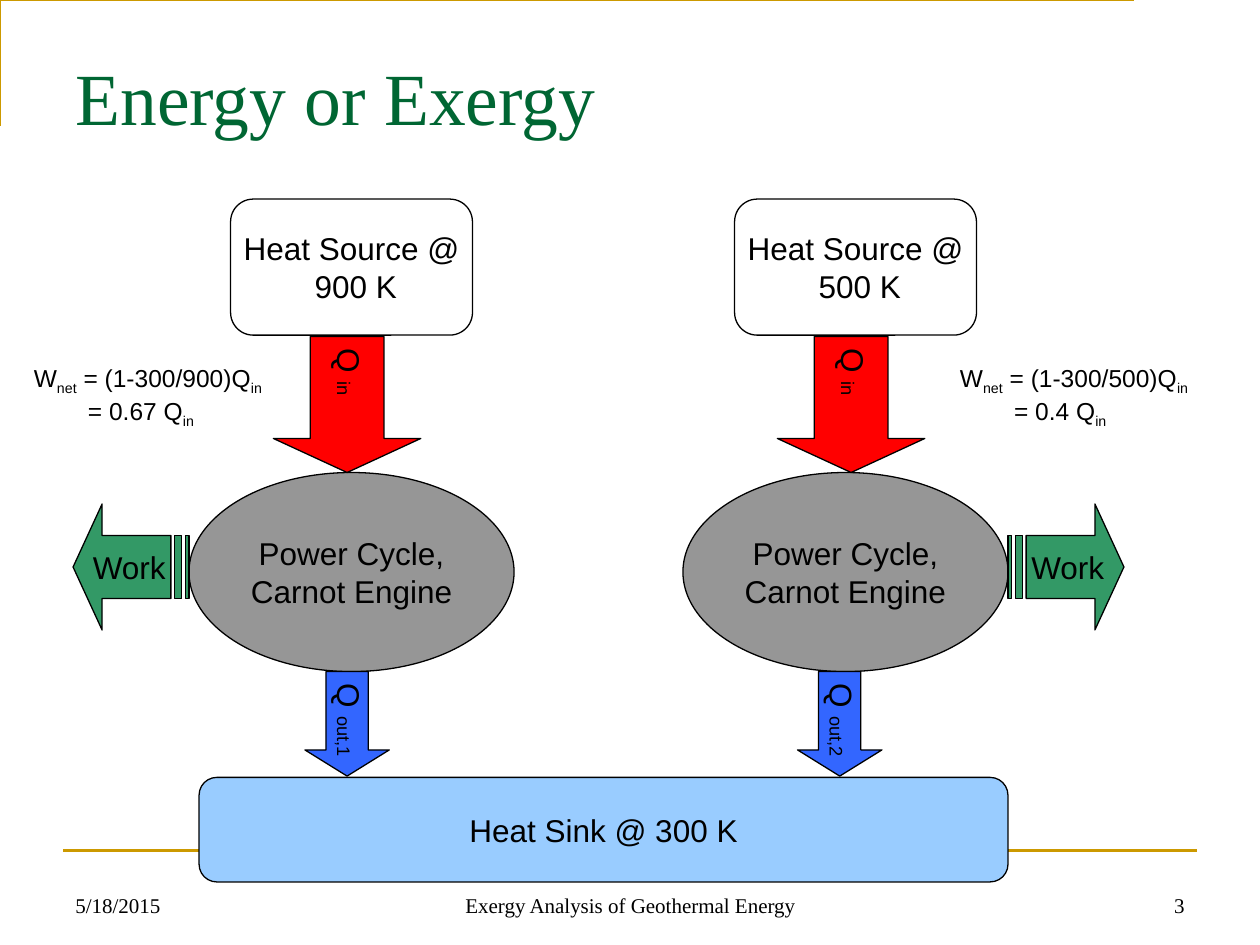
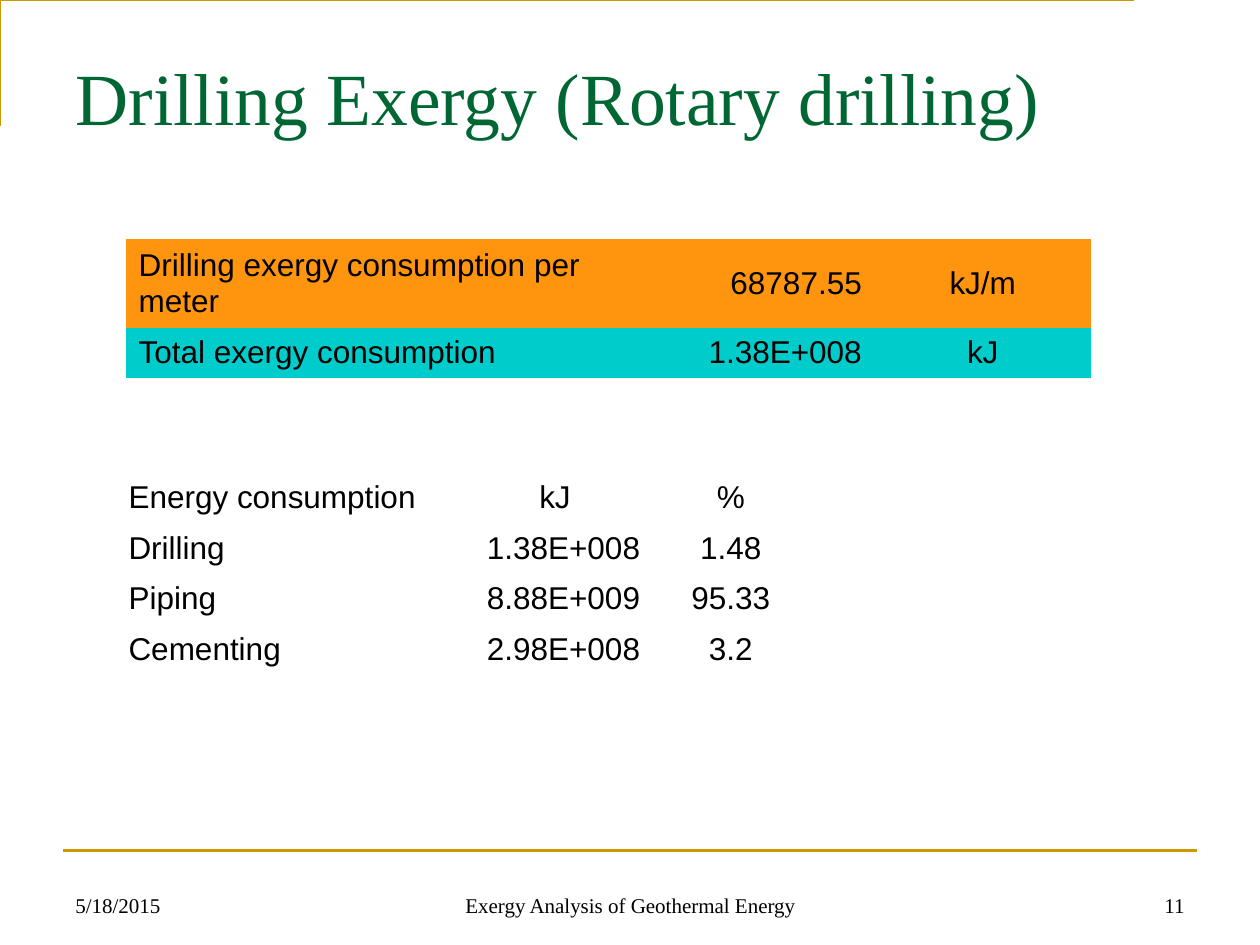
"""Build two slides on exergy: a Carnot engine diagram and drilling consumption tables."""
from dataclasses import dataclass

from lxml.etree import SubElement
from pptx import Presentation
from pptx.dml.color import RGBColor
from pptx.enum.shapes import MSO_CONNECTOR, MSO_SHAPE as Shape
from pptx.enum.text import MSO_ANCHOR as Anchor, PP_ALIGN as Align
from pptx.oxml.ns import qn
from pptx.util import Inches, Pt


@dataclass(frozen=True)
class Theme:
    """Colours, fonts and type sizes shared by the slides."""
    black: str = "000000"
    white: str = "FFFFFF"
    gold: str = "CC9900"
    title: str = "006633"
    engine: str = "969696"
    heat_in: str = "FF0000"
    heat_out: str = "3366FF"
    sink: str = "99CCFF"
    work: str = "339966"
    orange: str = "FF950E"
    teal: str = "00CCCC"
    serif: str = "Times New Roman"
    sans: str = "Arial"
    title_pt: int = 42
    body_pt: int = 18
    formula_pt: int = 14
    footer_pt: int = 12
    no_table_style: str = "{2D5ABB26-0587-4C30-8999-92F81FD0307C}"


T = Theme()

FOOTER = "Exergy Analysis of Geothermal Energy"
DATE = "5/18/2015"
SINK = "Heat Sink @ 300 K"
ENGINE = ["Power Cycle,", "Carnot Engine"]
CYCLES = [
    {"source": ["Heat Source @", " 900 K"], "out": "out,1", "ratio": "300/900", "net": "0.67",
     "source_x": 1.83, "engine_x": 1.5, "out_x": 2.42, "work_x": 0.58, "formula_x": 0.17, "turn": 180},
    {"source": ["Heat Source @", " 500 K"], "out": "out,2", "ratio": "300/500", "net": "0.4",
     "source_x": 5.83, "engine_x": 5.42, "out_x": 6.33, "work_x": 8, "formula_x": 7.52, "turn": 0},
]
SHARES = [
    ("Energy consumption", "kJ", "%"),
    ("Drilling", "1.38E+008", "1.48"),
    ("Piping", "8.88E+009", "95.33"),
    ("Cementing", "2.98E+008", "3.2"),
]
TOTALS = [
    ("Drilling exergy consumption per meter", "68787.55", "kJ/m"),
    ("Total exergy consumption", "1.38E+008", "kJ"),
]


def rgb(color):
    """Turn a hex string into a colour."""
    return RGBColor.from_string(color)


def style(p, size, font=T.sans, color=T.black, align=Align.LEFT):
    """Format a whole paragraph."""
    p.alignment = align
    p.font.size, p.font.name, p.font.color.rgb = Pt(size), font, rgb(color)


def write(tf, lines, size, font=T.sans, align=Align.LEFT):
    """Fill a frame; a line is a string or a list whose odd items are subscripts."""
    for i, line in enumerate(lines):
        p = tf.paragraphs[0] if i == 0 else tf.add_paragraph()
        style(p, size, font, align=align)
        for j, piece in enumerate([line] if isinstance(line, str) else line):
            r = p.add_run()
            r.text = piece
            if j % 2:
                r.font._element.set("baseline", "-25000")


def add_text(slide, box, lines, size, font=T.sans, align=Align.LEFT, anchor=Anchor.TOP, wrap=True):
    """Add a text box."""
    tf = slide.shapes.add_textbox(*map(Inches, box)).text_frame
    tf.word_wrap, tf.vertical_anchor = wrap, anchor
    write(tf, lines, size, font, align)
    return tf


def add_block(slide, kind, box, fill, lines, adjust=(), **body):
    """Add an outlined shape with centred text; extra names become body attributes."""
    sp = slide.shapes.add_shape(kind, *map(Inches, box))
    sp.shadow.inherit = False
    sp.fill.solid()
    sp.fill.fore_color.rgb = rgb(fill)
    sp.line.color.rgb, sp.line.width = rgb(T.black), Pt(0.75)
    for i, value in enumerate(adjust):
        sp.adjustments[i] = value
    tf = sp.text_frame
    tf.word_wrap, tf.vertical_anchor = False, Anchor.MIDDLE
    for name, value in body.items():
        tf._txBody.bodyPr.set(name, value)
    write(tf, lines, T.body_pt, align=Align.CENTER)
    return sp


def add_frame(slide):
    """Draw the gold corner and the footer rule."""
    pen = slide.shapes.build_freeform(0.42, 0.92, scale=Inches(1))
    pen.add_line_segments([(0.42, 0.25), (9.42, 0.25)], close=False)
    corner = pen.convert_to_shape()
    corner.shadow.inherit = False
    corner.fill.background()
    rule = slide.shapes.add_connector(MSO_CONNECTOR.STRAIGHT, *map(Inches, (0.5, 6.75, 9.5, 6.75)))
    SubElement(rule._element.spPr, qn("a:effectLst"))
    for line in (corner.line, rule.line):
        line.color.rgb, line.width = rgb(T.gold), Pt(1.5)


def add_slide(prs, title, number):
    """Add a slide with its title, frame and footers."""
    slide = prs.slides.add_slide(prs.slide_layouts[5])
    sp = slide.shapes.title
    sp.left, sp.top, sp.width, sp.height = map(Inches, (0.5, 0.3, 9, 1.25))
    tf = sp.text_frame
    tf.text, tf.vertical_anchor, tf.margin_top = title, Anchor.TOP, Inches(0.11)
    style(tf.paragraphs[0], T.title_pt, T.serif, T.title)
    add_frame(slide)
    for x, width, text, align in ((0.5, 2.33, DATE, Align.LEFT), (3.42, 3.17, FOOTER, Align.CENTER),
                                  (7.17, 2.33, str(number), Align.RIGHT)):
        add_text(slide, (x, 6.83, width, 0.5), [text], T.footer_pt, T.serif, align, Anchor.BOTTOM)
    return slide


def add_cycle(slide, c):
    """Draw one heat source, its engine, the flows and the net work formula."""
    x = c["source_x"]
    add_block(slide, Shape.FLOWCHART_ALTERNATE_PROCESS, (x, 1.58, 1.92, 1.08), T.white, c["source"])
    add_block(slide, Shape.OVAL, (c["engine_x"], 3.75, 2.58, 1.58), T.engine, ENGINE)
    add_block(slide, Shape.DOWN_ARROW, (x + 0.34, 2.67, 1.17, 1.08), T.heat_in,
              [["Q", "in"]], (0.5, 0.25), vert="eaVert")
    add_block(slide, Shape.DOWN_ARROW, (c["out_x"], 5.33, 0.67, 0.83), T.heat_out,
              [["Q", c["out"]]], (0.5, 0.31), vert="eaVert")
    work = add_block(slide, Shape.STRIPED_RIGHT_ARROW, (c["work_x"], 4, 0.92, 1), T.work,
                     ["Work"], (0.5, 0.25), rot=str(c["turn"] * 60000))
    work.rotation = c["turn"]
    tf = add_text(slide, (c["formula_x"], 2.83, 2.06, 0.57),
                  [["W", "net", f" = (1-{c['ratio']})Q", "in"], [f"= {c['net']} Q", "in"]],
                  T.formula_pt, wrap=False)
    tf.paragraphs[1]._p.get_or_add_pPr().set("marL", str(Inches(0.43)))


def add_grid(slide, left, top, widths, heights, rows, fills, number_rows):
    """Add a plain table whose middle column is right-aligned in its number rows."""
    box = map(Inches, (left, top, sum(widths), sum(heights)))
    table = slide.shapes.add_table(len(rows), len(widths), *box).table
    table.first_row = table.horz_banding = False
    table._tbl.tblPr[0].text = T.no_table_style
    for column, width in zip(table.columns, widths):
        column.width = Inches(width)
    for i, row in enumerate(rows):
        table.rows[i].height = Inches(heights[i])
        middle = Align.RIGHT if i in number_rows else Align.CENTER
        for j, (text, align) in enumerate(zip(row, (Align.LEFT, middle, Align.CENTER))):
            cell = table.cell(i, j)
            cell.vertical_anchor = Anchor.MIDDLE
            if fills:
                cell.fill.solid()
                cell.fill.fore_color.rgb = rgb(fills[i])
            else:
                cell.fill.background()
            write(cell.text_frame, [text], T.body_pt, align=align)


def main():
    """Build and save the slides."""
    prs = Presentation()
    prs.slide_width, prs.slide_height = Inches(10), Inches(7.5)

    slide = add_slide(prs, "Energy or Exergy", 3)
    for cycle in CYCLES:
        add_cycle(slide, cycle)
    add_block(slide, Shape.ROUNDED_RECTANGLE, (1.58, 6.17, 6.42, 0.83), T.sink, [SINK], (0.17,))

    slide = add_slide(prs, "Drilling Exergy (Rotary drilling)", 11)
    add_grid(slide, 0.92, 3.75, (2.71, 1.55, 1.24), [0.38] * 4, SHARES, None, (1, 2, 3))
    add_grid(slide, 1, 1.9, (3.98, 1.96, 1.72), (0.67, 0.38), TOTALS, (T.orange, T.teal), (0, 1))

    prs.save("out.pptx")


if __name__ == "__main__":
    main()
